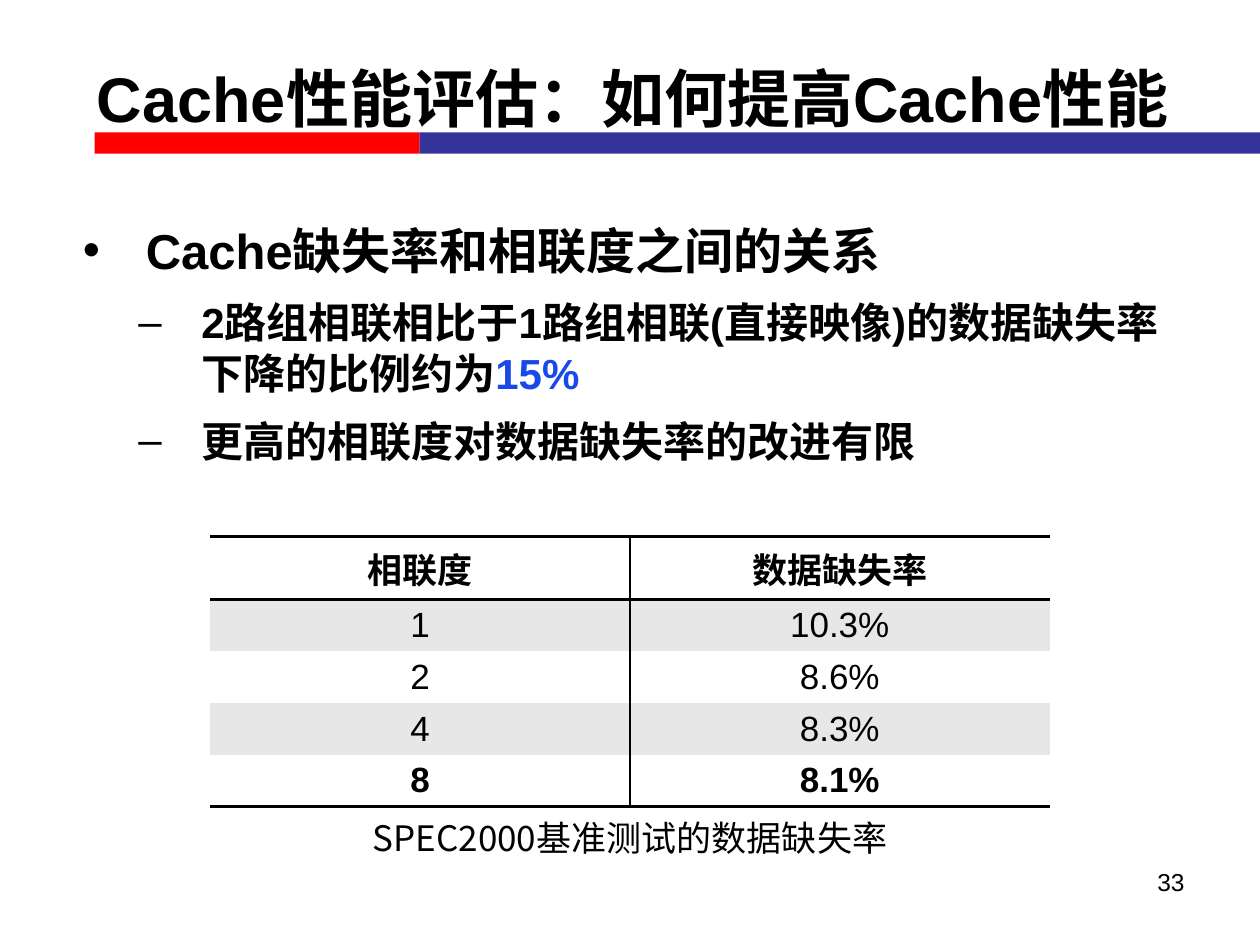
import pptx
import pptx.dml.color
import pptx.enum.shapes
import pptx.enum.text
import pptx.oxml
import pptx.oxml.ns
import pptx.util
from dataclasses import dataclass

Inches = pptx.util.Inches
ALIGN = pptx.enum.text.PP_ALIGN
ANCHOR = pptx.enum.text.MSO_ANCHOR


@dataclass(frozen=True)
class Theme:
    """Colours, fonts and type sizes of the slide."""
    ink: str = "000000"
    accent: str = "1A49EA"
    red: str = "FF0000"
    blue: str = "333399"
    white: str = "FFFFFF"
    band: str = "E7E7E7"
    latin: str = "Arial"
    chinese: str = "Noto Sans CJK SC"
    title: int = 36
    heading: int = 28
    point: int = 24
    table: int = 20
    number: int = 14


THEME = Theme()
TITLE = "Cache性能评估：如何提高Cache性能"
BARS = [(0.75, 2.58, THEME.red), (3.33, 6.67, THEME.blue)]
POINTS = [
    (0, ["Cache缺失率和相联度之间的关系"]),
    (1, ["2路组相联相比于1路组相联(直接映像)的数据缺失率下降的比例约为", "15%"]),
    (1, ["更高的相联度对数据缺失率的改进有限"]),
]
LEVELS = [("•", 0.56, THEME.heading), ("–", 1, THEME.point)]
HANGING = 0.5
ROWS = [
    ("相联度", "数据缺失率"),
    ("1", "10.3%"),
    ("2", "8.6%"),
    ("4", "8.3%"),
    ("8", "8.1%"),
]
BOLD_ROWS = (0, len(ROWS) - 1)
HEADER_HEIGHT, ROW_HEIGHT, COLUMN_WIDTH = 0.5, 0.41, 3.33
CELL_MARGIN = 0.03
CAPTION = "SPEC2000基准测试的数据缺失率"
PAGE_NUMBER = "33"


def rgb(code):
    """Return the colour for a hex code."""
    return pptx.dml.color.RGBColor.from_string(code)


def append_xml(parent, tag, attributes="", inner=""):
    """Append a drawing element to its parent."""
    space = pptx.oxml.ns.nsdecls("a")
    parent.append(pptx.oxml.parse_xml(f"<a:{tag} {space} {attributes}>{inner}</a:{tag}>"))


def style_span(span, size, bold=False, color=THEME.ink, latin=THEME.latin):
    """Set the type of one run."""
    span.font.size = pptx.util.Pt(size)
    span.font.bold = bold
    span.font.color.rgb = rgb(color)
    span.font.name = latin
    append_xml(span.font._element, "ea", f'typeface="{THEME.chinese}"')


def add_box(page, left, top, width, height):
    """Add a wrapping text box and return its frame."""
    box = page.shapes.add_textbox(*map(Inches, (left, top, width, height)))
    box.text_frame.word_wrap = True
    return box.text_frame


def write_line(frame, text, align, size, **style):
    """Fill a frame with one aligned paragraph."""
    frame.text = text
    para = frame.paragraphs[0]
    para.alignment = align
    style_span(para.runs[0], size, **style)


def add_bars(page):
    """Draw the two-colour rule below the title."""
    for left, width, color in BARS:
        bar = page.shapes.add_shape(
            pptx.enum.shapes.MSO_SHAPE.RECTANGLE,
            *map(Inches, (left, 1.05, width, 0.17)))
        bar.shadow.inherit = False
        bar.fill.solid()
        bar.fill.fore_color.rgb = rgb(color)
        bar.line.fill.background()


def add_points(page):
    """Write the bulleted statements."""
    frame = add_box(page, 0.5, 1.7, 9, 2.28)
    for index, (level, parts) in enumerate(POINTS):
        para = frame.add_paragraph() if index else frame.paragraphs[0]
        bullet, margin, size = LEVELS[level]
        para.level = level
        para.space_before = pptx.util.Pt(10 if index else 0)
        properties = para._p.get_or_add_pPr()
        properties.set("marL", str(Inches(margin)))
        properties.set("indent", str(-Inches(HANGING)))
        append_xml(properties, "buFont", f'typeface="{THEME.latin}"')
        append_xml(properties, "buChar", f'char="{bullet}"')
        for part, color in zip(parts, (THEME.ink, THEME.accent)):
            span = para.add_run()
            span.text = part
            style_span(span, size, bold=True, color=color)


def set_borders(cell, widths):
    """Draw the given sides of a cell and hide the others."""
    properties = cell._tc.get_or_add_tcPr()
    for side in ("L", "R", "T", "B"):
        width = widths.get(side, 0)
        fill = f'<a:solidFill><a:srgbClr val="{THEME.ink}"/></a:solidFill>'
        append_xml(properties, f"ln{side}", f'w="{pptx.util.Pt(width)}"',
                   fill if width else "<a:noFill/>")


def add_rates(page):
    """Build the table of miss rates."""
    columns = len(ROWS[0])
    last = len(ROWS) - 1
    height = HEADER_HEIGHT + last * ROW_HEIGHT
    table = page.shapes.add_table(
        len(ROWS), columns,
        *map(Inches, (1.67, 4.26, columns * COLUMN_WIDTH, height))).table
    for column in table.columns:
        column.width = Inches(COLUMN_WIDTH)
    for r, values in enumerate(ROWS):
        table.rows[r].height = Inches(ROW_HEIGHT if r else HEADER_HEIGHT)
        for c, value in enumerate(values):
            cell = table.cell(r, c)
            cell.vertical_anchor = ANCHOR.MIDDLE
            cell.margin_top = cell.margin_bottom = Inches(CELL_MARGIN)
            write_line(cell.text_frame, value, ALIGN.CENTER, THEME.table,
                       bold=r in BOLD_ROWS)
            borders = {"L" if c else "R": 1}
            if r == 0:
                borders["T"] = 2
            if r <= 1:
                borders["T" if r else "B"] = 2
            if r == last:
                borders["B"] = 2
            set_borders(cell, borders)
            cell.fill.solid()
            cell.fill.fore_color.rgb = rgb(THEME.band if r % 2 else THEME.white)


def main():
    """Build and save the slide."""
    deck = pptx.Presentation()
    deck.slide_width, deck.slide_height = Inches(10), Inches(7.5)
    page = deck.slides.add_slide(deck.slide_layouts[6])
    add_bars(page)
    title = add_box(page, 0.16, 0.15, 9.72, 1.25)
    title.vertical_anchor = ANCHOR.MIDDLE
    write_line(title, TITLE, ALIGN.CENTER, THEME.title, bold=True)
    write_line(add_box(page, 7.17, 6.83, 2.33, 0.52), PAGE_NUMBER,
               ALIGN.RIGHT, THEME.number)
    add_points(page)
    add_rates(page)
    write_line(add_box(page, 2.52, 6.43, 4.96, 0.53), CAPTION,
               ALIGN.CENTER, THEME.table, latin=THEME.chinese)
    deck.save("out.pptx")


if __name__ == "__main__":
    main()
